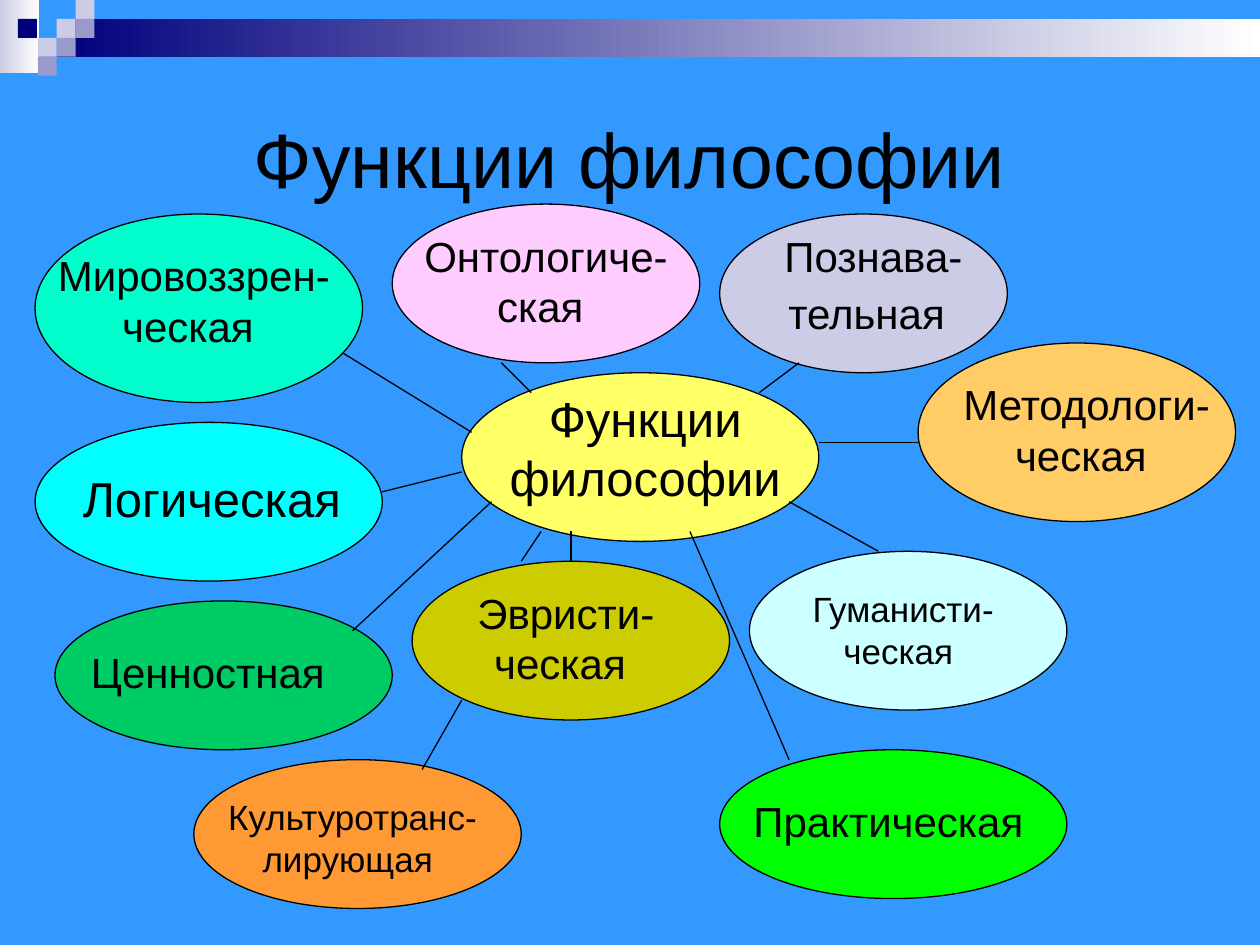
from lxml import etree
from pptx import Presentation
from pptx import util as u
from pptx.dml.color import RGBColor
from pptx.enum import shapes, text
from pptx.oxml.ns import qn

HUES = {
    "sky": "3399FF", "ink": "000000", "white": "FFFFFF", "navy": "00007D",
    "pale": "CCCCE6", "mauve": "9999CC", "yellow": "FFFF66", "mint": "00FFCC",
    "pink": "FFCCFF", "sand": "FFCC66", "cyan": "00FFFF", "green": "00CC66",
    "olive": "CCCC00", "ice": "CCFFFF", "orange": "FF9933", "lime": "00FF00",
}
CELL = 1 / 12.7          # grid step of the diagram, inches
LEFT, TOP = 0.2, 1.62    # grid origin, inches
TILE = 0.15              # checker square in the corner, inches

# hue, oval (col, row, cols, rows), label (col, row, cols), words, size, size of end space
NODES = [
    ("yellow", (44, 17, 36, 17), (45, 18, 35), "Функции философии", 28, None),
    ("mint", (1, 1, 33, 19), (0, 4, 34), "Мировоззрен-ческая ", 24, None),
    ("pink", (37, 0, 31, 16), (37, 2, 31), "Онтологиче-ская ", 24, None),
    ("pale", (70, 1, 29, 16), (72, 2, 27), "Познава-тельная", 24, 28),
    ("sand", (90, 14, 32, 18), (93, 17, 28), "Методологи-ческая ", 24, None),
    ("cyan", (1, 22, 35, 16), (4, 26, 31), "Логическая ", 28, None),
    ("green", (3, 40, 34, 15), (4, 44, 30), "Ценностная ", 24, None),
    ("olive", (39, 36, 32, 16), (42, 38, 25), "Эвристи-ческая ", 24, None),
    ("ice", (73, 35, 32, 16), (75, 38, 27), "Гуманисти-ческая ", 20, None),
    ("orange", (17, 56, 33, 15), (18, 59, 30), "Культуротранс-лирующая ", 20, None),
    ("lime", (70, 55, 35, 15), (72, 59, 31), "Практическая", 24, 20),
]
LINKS = [
    (74, 19, 78, 16), (80, 24, 90, 24), (48, 16, 51, 19), (32, 15, 45, 23),
    (36, 29, 44, 27), (47, 30, 33, 43), (77, 30, 86, 35), (55, 33, 55, 36),
    (67, 33, 77, 56), (52, 33, 50, 36), (44, 50, 40, 57),
]
TILES = [
    (3, 1, "pale"), (4, 0, "pale"), (4, 1, "mauve"), (2, 2, "pale"),
    (0.95, 1, "navy"), (3, 2, "mauve"), (2, 3, "mauve"),
]


def rgb(hue):
    return RGBColor.from_string(HUES[hue])


def spot(col, row):
    return u.Inches(LEFT + col * CELL), u.Inches(TOP + row * CELL)


def span(count):
    return u.Inches(count * CELL)


def rect(slide, x, y, w, h, *hues):
    """Borderless box; two hues make a left-to-right gradient."""
    box = slide.shapes.add_shape(
        shapes.MSO_SHAPE.RECTANGLE, *map(u.Inches, (x, y, w, h)))
    box.shadow.inherit = False
    box.line.fill.background()
    if len(hues) == 1:
        box.fill.solid()
        box.fill.fore_color.rgb = rgb(hues[0])
        return
    box.fill.gradient()
    box.fill.gradient_angle = 0
    for stop, hue, at in zip(box.fill.gradient_stops, hues, (0, 1)):
        stop.color.rgb = rgb(hue)
        stop.position = at


def style(run, size):
    run.font.name = "Arial"
    run.font.size = u.Pt(size)
    run.font.color.rgb = rgb("ink")


def label(slide, x, y, w, h, words, size, gap=None):
    """Centred wrapped text; gap is the size of an end space that sets line height."""
    box = slide.shapes.add_textbox(x, y, w, h)
    frame = box.text_frame
    frame.word_wrap = True
    para = frame.paragraphs[0]
    para.text = words
    para.alignment = text.PP_ALIGN.CENTER
    style(para.runs[0], size)
    if gap:
        tail = para.add_run()
        tail.text = " "
        style(tail, gap)
    return frame


def node(slide, hue, oval, place, words, size, gap):
    col, row, cols, rows = oval
    disc = slide.shapes.add_shape(
        shapes.MSO_SHAPE.OVAL, *spot(col, row), span(cols), span(rows))
    disc.shadow.inherit = False
    disc.fill.solid()
    disc.fill.fore_color.rgb = rgb(hue)
    disc.line.color.rgb = rgb("ink")
    disc.line.width = u.Pt(0.75)
    col, row, cols = place
    label(slide, *spot(col, row), span(cols), span(rows - 6), words, size, gap)


def link(slide, col, row, col2, row2):
    line = slide.shapes.add_connector(
        shapes.MSO_CONNECTOR.STRAIGHT, *spot(col, row), *spot(col2, row2))
    line.line.color.rgb = rgb("ink")
    line.line.width = u.Pt(0.75)
    etree.SubElement(line._element.spPr, qn("a:effectLst"))


def main():
    deck = Presentation()
    deck.slide_width, deck.slide_height = u.Inches(10), u.Inches(7.5)
    slide = deck.slides.add_slide(deck.slide_layouts[6])
    slide.background.fill.solid()
    slide.background.fill.fore_color.rgb = rgb("sky")

    rect(slide, 0, 0, 0.31, 0.58, "pale", "white")
    rect(slide, 3 * TILE, TILE, 10 - 3 * TILE, 2 * TILE, "navy", "white")
    for col, row, hue in TILES:
        rect(slide, col * TILE, row * TILE, TILE, TILE, hue)

    title = label(slide, *map(u.Inches, (0.5, 0.5, 9, 1.5)), "Функции философии", 44)
    title.vertical_anchor = text.MSO_ANCHOR.MIDDLE
    for item in NODES:
        node(slide, *item)
    for ends in LINKS:
        link(slide, *ends)
    deck.save("out.pptx")


if __name__ == "__main__":
    main()
